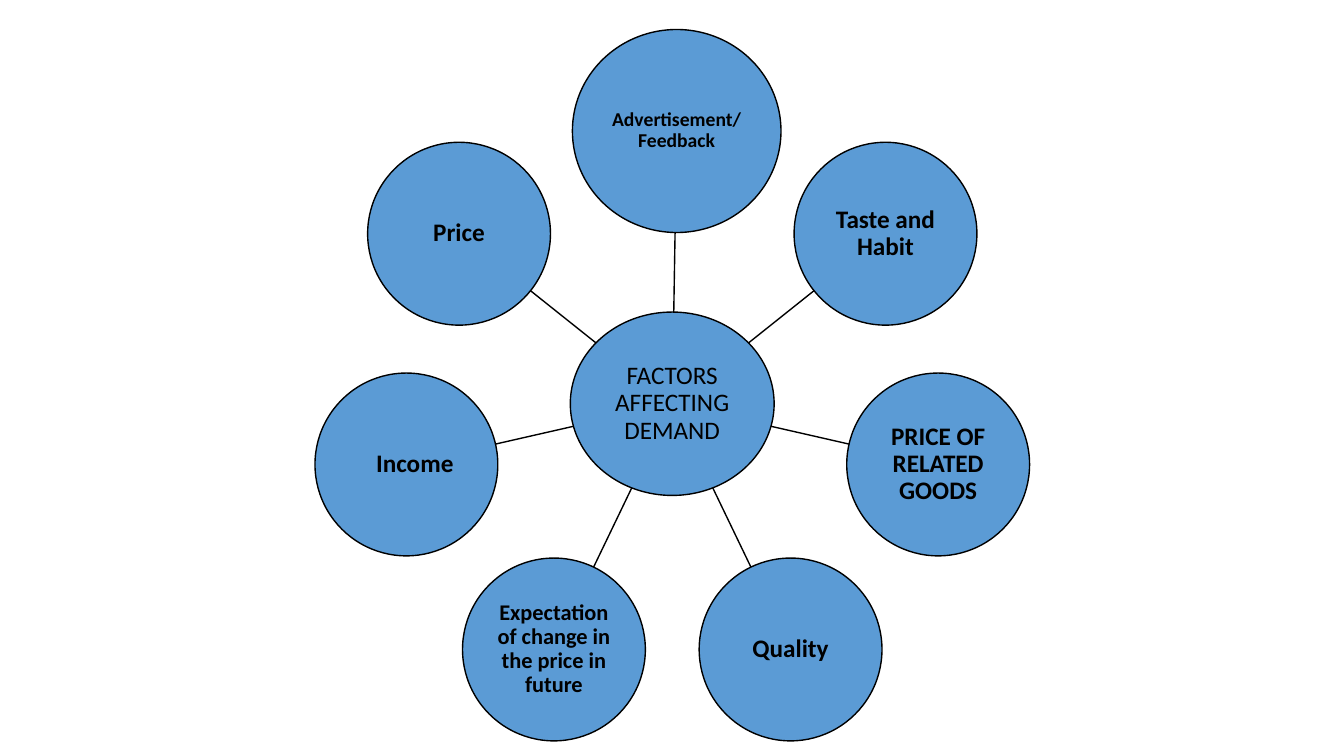
import math
import pptx
import pptx.dml.color
import pptx.enum.shapes
import pptx.enum.text
import pptx.oxml
import pptx.oxml.ns
import pptx.util

Pt = pptx.util.Pt

HUB_X, HUB_Y = 480.2, 288.4
HUB_WIDTH, HUB_HEIGHT = 145.6, 131
RING_RADIUS = 194.8
CIRCLE = 130.6


def color(value):
    return pptx.dml.color.RGBColor.from_string(value)


def add_bubble(label, x, y, width, height, size, bold, indent):
    bubble = slide.shapes.add_shape(
        pptx.enum.shapes.MSO_SHAPE.OVAL,
        Pt(x - width / 2), Pt(y - height / 2), Pt(width), Pt(height))
    bubble.shadow.inherit = False
    bubble.fill.solid()
    bubble.fill.fore_color.rgb = color("5B9BD5")
    bubble.line.color.rgb = color("000000")
    bubble.line.width = Pt(1)
    frame = bubble.text_frame
    frame.word_wrap = True
    frame.vertical_anchor = pptx.enum.text.MSO_ANCHOR.MIDDLE
    frame.margin_left = Pt(0.9 + indent)
    frame.margin_right = frame.margin_top = frame.margin_bottom = Pt(0.9)
    para = frame.paragraphs[0]
    para.text = label
    para.alignment = pptx.enum.text.PP_ALIGN.CENTER
    para.line_spacing = 0.9
    para.font.name = "Calibri"
    para.font.size = Pt(size)
    para.font.bold = bold
    para.font.color.rgb = color("000000")


deck = pptx.Presentation()
deck.slide_width = Pt(960)
deck.slide_height = Pt(540)
slide = deck.slides.add_slide(deck.slide_layouts[6])

add_bubble("FACTORS AFFECTING DEMAND", HUB_X, HUB_Y, HUB_WIDTH, HUB_HEIGHT, 18, False, 0)

factors = [
    ("Advertisement/Feedback", 149, 145, 14, 3.2, 0),
    ("Taste and Habit", CIRCLE, CIRCLE, 18, 0, 0),
    ("PRICE OF RELATED GOODS", CIRCLE, CIRCLE, 18, 0, 0),
    ("Quality", CIRCLE, CIRCLE, 18, 0, 0),
    ("Expectation of change in the price in future", CIRCLE, CIRCLE, 16, 0, 0),
    ("Income", CIRCLE, CIRCLE, 18, 0, 12),
    ("Price", CIRCLE, CIRCLE, 18, 0, 0),
]

for index, (label, width, height, size, shift, indent) in enumerate(factors):
    angle = 2 * math.pi * index / len(factors)
    dx = RING_RADIUS * math.sin(angle) + shift
    dy = -RING_RADIUS * math.cos(angle)
    start = 1 / math.hypot(2 * dx / HUB_WIDTH, 2 * dy / HUB_HEIGHT)
    end = 1 - 1 / math.hypot(2 * dx / width, 2 * dy / height)
    spoke = slide.shapes.add_connector(
        pptx.enum.shapes.MSO_CONNECTOR.STRAIGHT,
        Pt(HUB_X + start * dx), Pt(HUB_Y + start * dy),
        Pt(HUB_X + end * dx), Pt(HUB_Y + end * dy))
    spoke.line.color.rgb = color("000000")
    spoke.line.width = Pt(1)
    properties = spoke.element.find(pptx.oxml.ns.qn("p:spPr"))
    properties.append(pptx.oxml.parse_xml(
        f'<a:effectLst {pptx.oxml.ns.nsdecls("a")}/>'))
    add_bubble(label, HUB_X + dx, HUB_Y + dy, width, height, size, True, indent)

deck.save("out.pptx")
